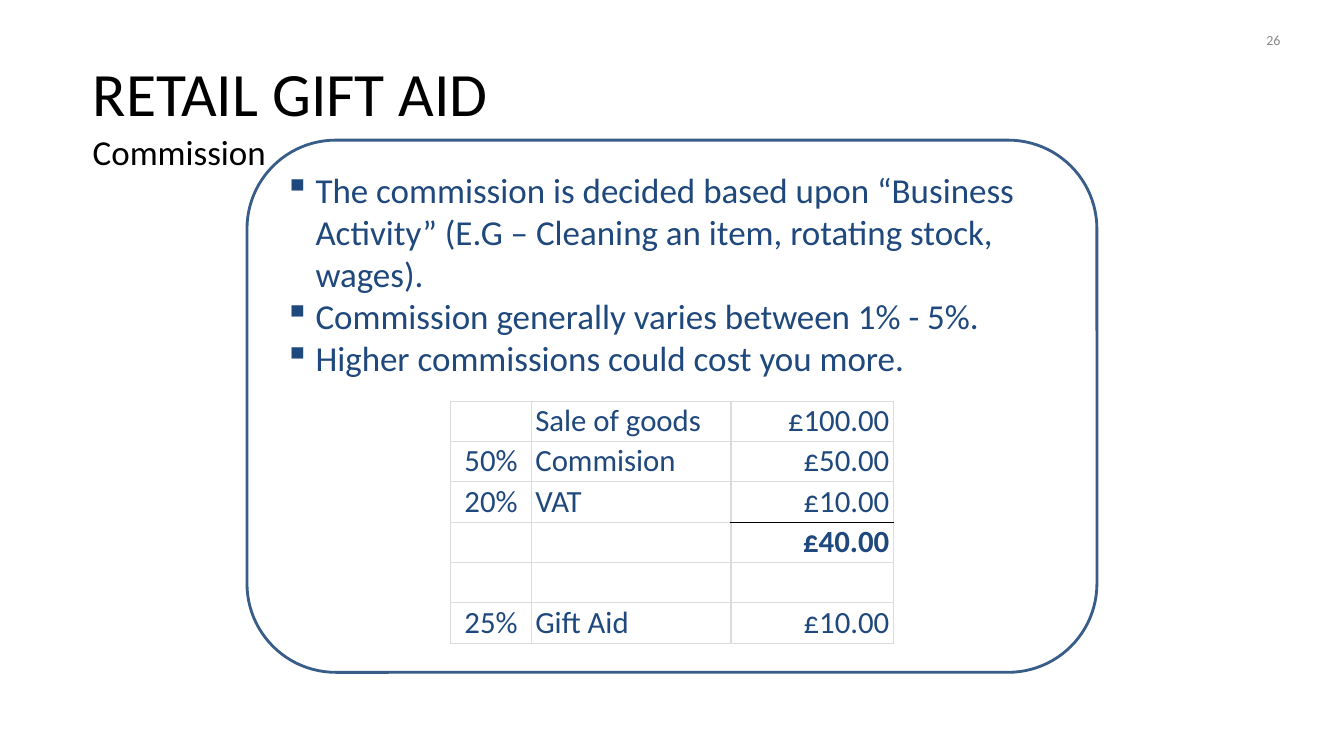
from dataclasses import dataclass

import pptx
import pptx.dml.color
import pptx.enum.shapes
import pptx.enum.text
import pptx.oxml
import pptx.oxml.ns
import pptx.util

Inches = pptx.util.Inches
Pt = pptx.util.Pt
Align = pptx.enum.text.PP_ALIGN
Anchor = pptx.enum.text.MSO_ANCHOR


@dataclass(frozen=True)
class Theme:
    font: str = "Calibri"
    ink: str = "000000"
    blue: str = "1F487C"
    edge: str = "385D89"
    grid: str = "DADCDD"
    gray: str = "888888"
    title: int = 44
    body: int = 25
    cell: int = 22
    page: int = 10


@dataclass(frozen=True)
class Line:
    text: str
    size: int
    color: str
    space: float = 0
    bullet: bool = False


@dataclass(frozen=True)
class Box:
    left: float
    top: float
    width: float
    height: float
    lines: tuple[Line, ...]
    anchor: Anchor = Anchor.TOP


@dataclass(frozen=True)
class Entry:
    rate: str = ""
    label: str = ""
    value: str = ""
    total: bool = False


THEME = Theme()

BOXES = (
    Box(12.56, 0.3, 0.25, 0.19, (Line("26", THEME.page, THEME.gray, 1),)),
    Box(0.92, 0.4, 11.5, 1.45, (
        Line("RETAIL GIFT AID", THEME.title, THEME.ink, 1),
        Line("Commission", THEME.body, THEME.ink, 1.4),
    ), Anchor.MIDDLE),
    Box(2.8, 1.66, 7.36, 2.11, (
        Line("The commission is decided based upon “Business Activity” "
             "(E.G – Cleaning an item, rotating stock, wages).",
             THEME.body, THEME.blue, 1, True),
        Line("Commission generally varies between 1% - 5%.",
             THEME.body, THEME.blue, 0, True),
        Line("Higher commissions could cost you more.",
             THEME.body, THEME.blue, 0.1, True),
    )),
)

ENTRIES = (
    Entry("", "Sale of goods", "£100.00"),
    Entry("50%", "Commision", "£50.00"),
    Entry("20%", "VAT", "£10.00"),
    Entry("", "", "£40.00", True),
    Entry(),
    Entry("25%", "Gift Aid", "£10.00"),
)
WIDTHS = (0.8, 1.98, 1.61)
ALIGNS = (Align.CENTER, Align.LEFT, Align.RIGHT)
ROW = 0.4


def style(para, size: int, color: str, space: float) -> None:
    para.font.name = THEME.font
    para.font.size = Pt(size)
    para.font.color.rgb = pptx.dml.color.RGBColor.from_string(color)
    para.space_before = Pt(space)


def add_bullet(para) -> None:
    props = para._p.get_or_add_pPr()
    props.set("marL", str(Inches(0.33)))
    props.set("indent", str(Inches(-0.31)))
    mark = pptx.oxml.parse_xml(
        f'<a:buChar {pptx.oxml.ns.nsdecls("a")} char="▪"/>')
    props.insert_element_before(mark, "a:tabLst", "a:defRPr", "a:extLst")


def add_box(slide, box: Box) -> None:
    shape = slide.shapes.add_textbox(
        *map(Inches, (box.left, box.top, box.width, box.height)))
    frame = shape.text_frame
    frame.word_wrap = True
    frame.vertical_anchor = box.anchor
    frame.margin_left = frame.margin_right = frame.margin_bottom = 0
    frame.margin_top = Inches(0.01)
    for index, line in enumerate(box.lines):
        para = frame.add_paragraph() if index else frame.paragraphs[0]
        para.text = line.text
        style(para, line.size, line.color, line.space)
        if line.bullet:
            add_bullet(para)


def add_panel(slide) -> None:
    panel = slide.shapes.add_shape(
        pptx.enum.shapes.MSO_SHAPE.ROUNDED_RECTANGLE,
        *map(Inches, (2.45, 1.39, 8.43, 5.28)))
    panel.shadow.inherit = False
    panel.fill.background()
    panel.line.color.rgb = pptx.dml.color.RGBColor.from_string(THEME.edge)
    panel.line.width = Pt(2)


def add_border(cell, side: str, color: str) -> None:
    cell._tc.get_or_add_tcPr().append(pptx.oxml.parse_xml(
        f'<a:ln{side} {pptx.oxml.ns.nsdecls("a")} w="{Pt(1)}">'
        f'<a:solidFill><a:srgbClr val="{color}"/></a:solidFill>'
        f'</a:ln{side}>'))


def add_sums(slide) -> None:
    table = slide.shapes.add_table(
        len(ENTRIES), len(WIDTHS), Inches(4.47), Inches(3.98),
        Inches(sum(WIDTHS)), Inches(ROW * len(ENTRIES))).table
    table.first_row = table.horz_banding = False
    for column, width in zip(table.columns, WIDTHS):
        column.width = Inches(width)
    for i, entry in enumerate(ENTRIES):
        table.rows[i].height = Inches(ROW)
        below = i + 1 < len(ENTRIES) and ENTRIES[i + 1].total
        for j, text in enumerate((entry.rate, entry.label, entry.value)):
            cell = table.cell(i, j)
            cell.margin_left = cell.margin_right = Inches(0.04 if j else 0)
            cell.margin_top, cell.margin_bottom = Inches(0.01), 0
            para = cell.text_frame.paragraphs[0]
            para.text = text
            para.alignment = ALIGNS[j]
            style(para, THEME.cell, THEME.blue, 0.8)
            para.font.bold = entry.total
            # A dark rule sits above the total
            dark = {"T": entry.total and j == 2, "B": below and j == 2}
            for side in "LRTB":
                add_border(cell, side,
                           THEME.ink if dark.get(side) else THEME.grid)
            cell.fill.background()


def main() -> None:
    deck = pptx.Presentation()
    deck.slide_width, deck.slide_height = Inches(13.33), Inches(7.5)
    slide = deck.slides.add_slide(deck.slide_layouts[6])
    # Outlined panel, then text, then the worked sum
    add_panel(slide)
    for box in BOXES:
        add_box(slide, box)
    add_sums(slide)
    deck.save("out.pptx")


if __name__ == "__main__":
    main()
